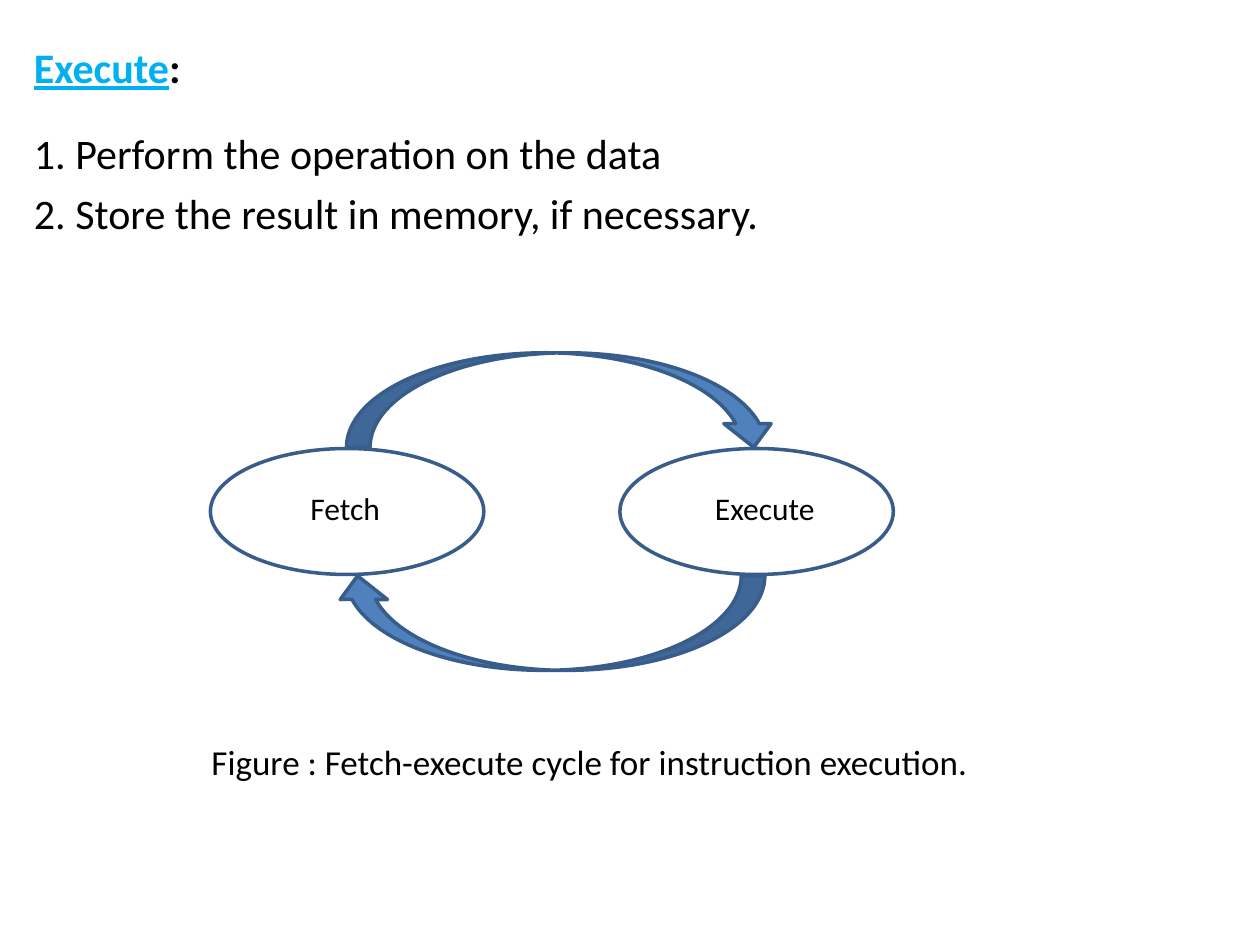
from dataclasses import dataclass

from lxml.etree import SubElement
from pptx import Presentation
from pptx.dml.color import RGBColor
from pptx.enum.shapes import MSO_SHAPE
from pptx.enum.text import PP_ALIGN
from pptx.oxml.ns import qn
from pptx.util import Inches, Pt


@dataclass(frozen=True)
class Theme:
    font: str = "Calibri"
    ink: RGBColor = RGBColor(0, 0, 0)
    accent: RGBColor = RGBColor(0x00, 0xB0, 0xF0)
    fill: RGBColor = RGBColor(0x4F, 0x81, 0xBD)
    line: RGBColor = RGBColor(0x38, 0x5D, 0x8A)
    body: Pt = Pt(24)
    note: Pt = Pt(20)
    label: Pt = Pt(18)
    stroke: Pt = Pt(2)


THEME = Theme()


def put(item, values):
    for name, value in values.items():
        setattr(item, name, value)


def add_run(para, text, size, color=THEME.ink, **more):
    run = para.add_run()
    run.text = text
    put(run.font, {"name": THEME.font, "size": size, **more})
    run.font.color.rgb = color


def add_box(slide, left, top, width, height):
    box = slide.shapes.add_textbox(*map(Inches, (left, top, width, height)))
    box.text_frame.word_wrap = True
    return box.text_frame


def add_form(slide, kind, left, top, width, height, fill=None):
    form = slide.shapes.add_shape(kind, *map(Inches, (left, top, width, height)))
    form.shadow.inherit = False
    if fill is None:
        form.fill.background()
    else:
        form.fill.solid()
        form.fill.fore_color.rgb = fill
    form.line.color.rgb = THEME.line
    form.line.width = THEME.stroke
    return form


def number(para, indent):
    props = para._p.get_or_add_pPr()
    props.set("marL", str(Inches(indent)))
    props.set("indent", str(-Inches(indent)))
    SubElement(props, qn("a:buFont"), typeface=THEME.font)
    SubElement(props, qn("a:buAutoNum"), type="arabicPeriod")


def add_steps(slide, left, top, width, height):
    frame = add_box(slide, left, top, width, height)
    frame.margin_top = Inches(0.08)

    # Heading
    head = frame.paragraphs[0]
    add_run(head, "Execute", THEME.body, THEME.accent, bold=True, underline=True)
    add_run(head, ":", THEME.body, bold=True)

    # Numbered steps
    steps = (("Perform the operation on the data", 20),
             ("Store the result in memory, if necessary.", 6))
    for text, gap in steps:
        para = frame.add_paragraph()
        para.space_before = Pt(gap)
        number(para, 0.33)
        add_run(para, text, THEME.body)


def add_cycle(slide, left, top, width, height):
    wide, tall = 2.17, 1
    bend, rise = 3.42, 0.75
    mid = top + (height - tall) / 2

    # Stages: name, ellipse left, label left
    stages = (("Fetch", left, left + 0.32),
              ("Execute", left + width - wide, left + 3.65))
    for name, side, start in stages:
        add_form(slide, MSO_SHAPE.OVAL, side, mid, wide, tall)
        frame = add_box(slide, start, mid + 0.27, 1.5, 0.4)
        para = frame.paragraphs[0]
        para.alignment = PP_ALIGN.CENTER
        add_run(para, name, THEME.label)

    # Arrows over and under the stages
    arrows = ((left + 1.08, top, 0), (left + 0.98, top + height - rise, 180))
    for side, edge, turn in arrows:
        arrow = add_form(slide, MSO_SHAPE.CURVED_DOWN_ARROW,
                         side, edge, bend, rise, THEME.fill)
        arrow.rotation = turn


def add_note(slide, left, top, width, height):
    frame = add_box(slide, left, top, width, height)
    add_run(frame.paragraphs[0],
            "Figure : Fetch-execute cycle for instruction execution.", THEME.note)


def main():
    deck = Presentation()
    put(deck, {"slide_width": Inches(10), "slide_height": Inches(7.5)})
    slide = deck.slides.add_slide(deck.slide_layouts[6])
    add_steps(slide, 0.17, 0.25, 9.58, 7.25)
    add_cycle(slide, 1.67, 2.8, 5.42, 2.52)
    add_note(slide, 1.58, 5.83, 6.42, 0.44)
    deck.save("out.pptx")


if __name__ == "__main__":
    main()
